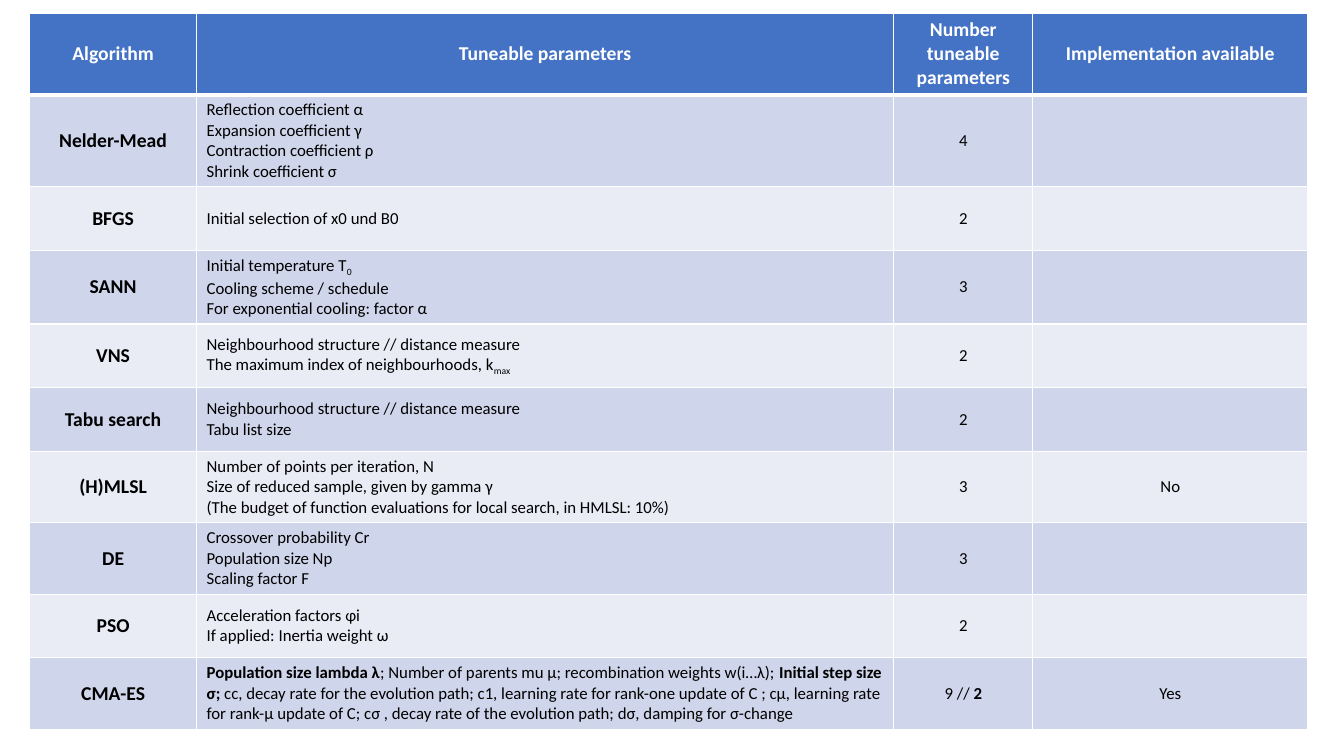
from pptx import Presentation
from pptx.dml.color import RGBColor
from pptx.enum import text as t
from pptx.oxml import parse_xml
from pptx.oxml.ns import nsdecls
from pptx.util import Pt


def color(code):
    return RGBColor.from_string(code)


class Deck:
    font = "Calibri"
    white, black, blue = "FFFFFF", "000000", "4472C4"
    bands = "CFD5EA", "E9EBF5"

    def __init__(self, wide, high):
        self.show = Presentation()
        self.show.slide_width, self.show.slide_height = Pt(wide), Pt(high)
        self.slide = self.show.slides.add_slide(self.show.slide_layouts[6])

    def edge(self, cell, top, base):
        props = cell._tc.get_or_add_tcPr()
        for side, width in zip("LRTB", (1, 1, top, base)):
            props.append(parse_xml(
                f'<a:ln{side} {nsdecls("a")} w="{Pt(width)}"><a:solidFill>'
                f'<a:srgbClr val="{self.white}"/></a:solidFill></a:ln{side}>'))

    def label(self, para, line, size, bold, ink):
        for part in line.split("|"):
            run = para.add_run()
            run.text = part.lstrip("*_")
            font = run.font
            font.name, font.size = self.font, Pt(size)
            font.bold = bold or part.startswith("*")
            font.color.rgb = color(ink)
            if part.startswith("_"):
                run._r.get_or_add_rPr().set("baseline", "-25000")

    def cell(self, cell, words, row, col):
        head = row == 0
        self.edge(cell, 3 if row == 1 else 1, 3 if head else 1)
        cell.fill.solid()
        cell.fill.fore_color.rgb = color(self.blue if head else self.bands[(row - 1) % 2])
        cell.vertical_anchor = t.MSO_ANCHOR.MIDDLE
        if not words:
            return
        bold = head or col == 0
        lines = words.split("\n")
        frame = cell.text_frame
        for i, line in enumerate(lines):
            para = frame.add_paragraph() if i else frame.paragraphs[0]
            left = col == 1 and not head
            para.alignment = t.PP_ALIGN.LEFT if left else t.PP_ALIGN.CENTER
            self.label(para, line, 14 if bold else 12, bold,
                       self.white if head else self.black)

    def table(self, left, top, widths, high, rows):
        grid = self.slide.shapes.add_table(
            len(rows), len(widths), Pt(left), Pt(top),
            Pt(sum(widths)), Pt(high * len(rows))).table
        grid.horz_banding = False
        for col, width in zip(grid.columns, widths):
            col.width = Pt(width)
        for r, row in enumerate(rows):
            grid.rows[r].height = Pt(high)
            for c, words in enumerate(row):
                self.cell(grid.cell(r, c), words, r, c)


rows = [
    ("Algorithm", "Tuneable parameters", "Number tuneable parameters",
     "Implementation available"),
    ("Nelder-Mead", "Reflection coefficient α\nExpansion coefficient γ\n"
     "Contraction coefficient ρ\nShrink coefficient σ", "4", ""),
    ("BFGS", "Initial selection of x0 und B0", "2", ""),
    ("SANN", "Initial temperature T|_0\nCooling scheme / schedule\n"
     "For exponential cooling: factor α", "3", ""),
    ("VNS", "Neighbourhood structure // distance measure\n"
     "The maximum index of neighbourhoods, k|_max", "2", ""),
    ("Tabu search", "Neighbourhood structure // distance measure\n"
     "Tabu list size", "2", ""),
    ("(H)MLSL", "Number of points per iteration, N\n"
     "Size of reduced sample, given by gamma γ\n"
     "(The budget of function evaluations for local search, in HMLSL: 10%)",
     "3", "No"),
    ("DE", "Crossover probability Cr\nPopulation size Np\nScaling factor F",
     "3", ""),
    ("PSO", "Acceleration factors φi\nIf applied: Inertia weight ω", "2", ""),
    ("CMA-ES", "*Population size lambda λ|; Number of parents mu μ; "
     "recombination weights w(i…λ); |*Initial step size σ; |"
     "cc, decay rate for the evolution path; c1, learning rate for rank-one "
     "update of C ; cμ, learning rate for rank-μ update of C; cσ , decay rate "
     "of the evolution path; dσ, damping for σ-change", "9 //|* 2", "Yes"),
]

deck = Deck(960, 540)
deck.table(21.2, 9.3, (119.2, 498, 99.4, 196.4), 45.4, rows)
deck.show.save("out.pptx")
